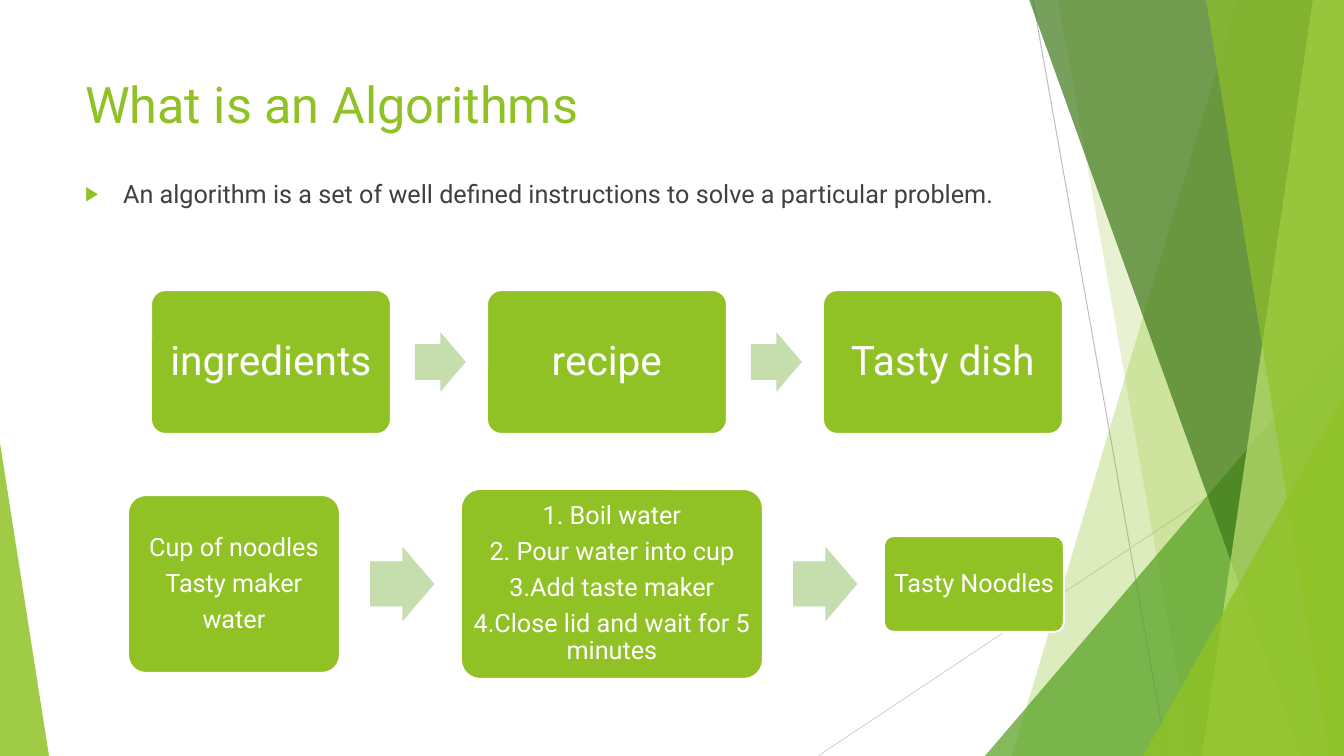
from lxml import etree
from pptx import Presentation
from pptx import util as u
from pptx.dml.color import RGBColor
from pptx.enum import shapes, text
from pptx.oxml.ns import qn

SCALE = 914400 / 100.8
WIDTH, HEIGHT = 1344, 756
FONT = "Roboto"
COLORS = {
    "lime": "90C226", "green": "54A021", "forest": "3F7819", "pale": "C0E474",
    "arrow": "C6DDAD", "white": "FFFFFF", "ink": "404040",
    "grey": "BFBFBF", "silver": "D9D9D9",
}


def px(*lengths):
    """Turn pixels into a list of EMU lengths."""
    return [u.Emu(round(length * SCALE)) for length in lengths]


def rgb(name):
    """Look up a colour by name."""
    return RGBColor.from_string(COLORS[name])


def set_all(target, formats):
    """Set each attribute given in a dict of format values."""
    for name, value in formats.items():
        setattr(target, name, value)


def paint(shape, color, opacity=100, outline=None):
    """Fill a shape, with an optional opacity and outline colour."""
    shape.shadow.inherit = False
    shape.fill.solid()
    shape.fill.fore_color.rgb = rgb(color)
    if opacity < 100:
        fill = shape.fill._xPr.find(qn("a:solidFill"))
        etree.SubElement(fill[0], qn("a:alpha"), val=str(opacity * 1000))
    if outline:
        shape.line.color.rgb = rgb(outline)
        shape.line.width = u.Pt(1.5)
    else:
        shape.line.fill.background()


def add_preset(page, kind, box, adjustments):
    """Add a preset shape in a pixel box."""
    shape = page.shapes.add_shape(kind, *px(*box))
    for index, value in enumerate(adjustments):
        shape.adjustments[index] = value
    return shape


def write(frame, lines, size, color, **formats):
    """Write one paragraph per line, all in the same format."""
    for index, line in enumerate(lines):
        para = frame.paragraphs[0] if index == 0 else frame.add_paragraph()
        set_all(para, formats)
        span = para.add_run()
        span.text = line
        set_all(span.font, {"name": FONT, "size": u.Pt(size)})
        span.font.color.rgb = rgb(color)


def add_facets(page, box):
    """Draw the thin lines and overlapping translucent facets."""
    left, top, width, height = box
    right, bottom = left + width, top + height
    for ends, color in [((1033, top, 1167, bottom), "grey"),
                        ((right, 406, 818, bottom), "silver")]:
        line = page.shapes.add_connector(shapes.MSO_CONNECTOR.STRAIGHT, *px(*ends))
        line.line.color.rgb = rgb(color)
        line.line.width = u.Pt(0.75)
        etree.SubElement(line._element.spPr, qn("a:effectLst"))

    def band(upper, lower, color, opacity):
        """Draw a band from a slanted left edge to the right side."""
        builder = page.shapes.build_freeform(upper, top - 1, scale=SCALE)
        builder.add_line_segments([(right, top - 1), (right, bottom), (lower, bottom)])
        paint(builder.convert_to_shape(), color, opacity)

    def wedge(start, span, peak, tip, color, opacity):
        """Draw a triangle standing on the bottom edge."""
        shape = add_preset(page, shapes.MSO_SHAPE.ISOSCELES_TRIANGLE,
                           (start, peak, span, bottom - peak), [tip])
        paint(shape, color, opacity)

    band(1238, 1012, "lime", 30)
    band(1058, 1192, "lime", 20)
    wedge(985, 359, 336, 1, "green", 72)
    band(1029, 1301, "forest", 70)
    band(1313, 1202, "pale", 70)
    band(1206, 1329, "lime", 65)
    wedge(1143, 201, 396, 1, "lime", 80)
    wedge(left, 49, 443, 0, "lime", 85)


def place_placeholder(holder, box):
    """Move a placeholder to a box, in front of the facets."""
    tree = holder._element.getparent()
    tree.append(holder._element)
    set_all(holder, dict(zip(("left", "top", "width", "height"), px(*box))))
    set_all(holder.text_frame, {"vertical_anchor": text.MSO_ANCHOR.TOP,
                                "auto_size": text.MSO_AUTO_SIZE.NONE,
                                "word_wrap": True})
    return holder.text_frame


def add_title(page, box, wording):
    """Fill the title placeholder."""
    frame = place_placeholder(page.shapes.title, box)
    write(frame, [wording], 36, "lime", alignment=text.PP_ALIGN.LEFT)


def add_body(page, box, lines):
    """Fill the body placeholder with a triangle-bulleted list."""
    frame = place_placeholder(page.placeholders[1], box)
    write(frame, lines, 18, "ink", space_before=u.Pt(10))
    indent = px(38)[0]
    for para in frame.paragraphs:
        props = para._p.get_or_add_pPr()
        props.set("marL", str(indent))
        props.set("indent", str(-indent))
        color = etree.SubElement(props, qn("a:buClr"))
        etree.SubElement(color, qn("a:srgbClr"), val=COLORS["lime"])
        etree.SubElement(props, qn("a:buSzPct"), val="80000")
        etree.SubElement(props, qn("a:buChar"), char="\u25b6")


def add_flow(page, box, steps, gap, size, inset):
    """Draw steps (width, height, lines) centred in a row, joined by arrows."""
    left, top, width, height = box
    middle = top + height / 2
    margins = dict.fromkeys(
        ("margin_left", "margin_top", "margin_right", "margin_bottom"), px(inset)[0])
    for index, (step_width, step_height, lines) in enumerate(steps):
        if index:
            arrow_box = (left - 0.75 * gap, middle - 0.31 * gap, 0.53 * gap, 0.62 * gap)
            arrow = add_preset(page, shapes.MSO_SHAPE.RIGHT_ARROW, arrow_box, [0.6, 0.5])
            paint(arrow, "arrow")
        card = add_preset(page, shapes.MSO_SHAPE.ROUNDED_RECTANGLE,
                          (left, middle - step_height / 2, step_width, step_height), [0.1])
        paint(card, "lime", outline="white")
        set_all(card.text_frame, {"word_wrap": True,
                                  "vertical_anchor": text.MSO_ANCHOR.MIDDLE, **margins})
        write(card.text_frame, lines, size, "white", alignment=text.PP_ALIGN.CENTER,
              line_spacing=0.9, space_after=u.Pt(0.35 * size))
        left += step_width + gap


def build_slide(deck):
    """Build the algorithm slide."""
    page = deck.slides.add_slide(deck.slide_layouts[1])
    add_facets(page, (0, 0, WIDTH, HEIGHT))
    add_title(page, (75, 68, 948, 145), "What is an Algorithms")
    add_body(page, (75, 173, 948, 427), [
        "An algorithm is a set of well defined instructions to solve a particular problem."])
    idea = [(240, 144, [word]) for word in ("ingredients", "recipe", "Tasty dish")]
    add_flow(page, (151, 290, 912, 144), idea, gap=96, size=29, inset=12)
    example = [
        (212, 178, ["Cup of noodles", "Tasty maker", "water"]),
        (302, 190, ["1. Boil water", "2. Pour water into cup", "3.Add taste maker",
                    "4.Close lid and wait for 5 minutes"]),
        (180, 96, ["Tasty Noodles"]),
    ]
    add_flow(page, (128, 489, 936, 190), example, gap=121, size=18, inset=7)


deck = Presentation()
deck.slide_width, deck.slide_height = px(WIDTH, HEIGHT)
build_slide(deck)
deck.save("out.pptx")
